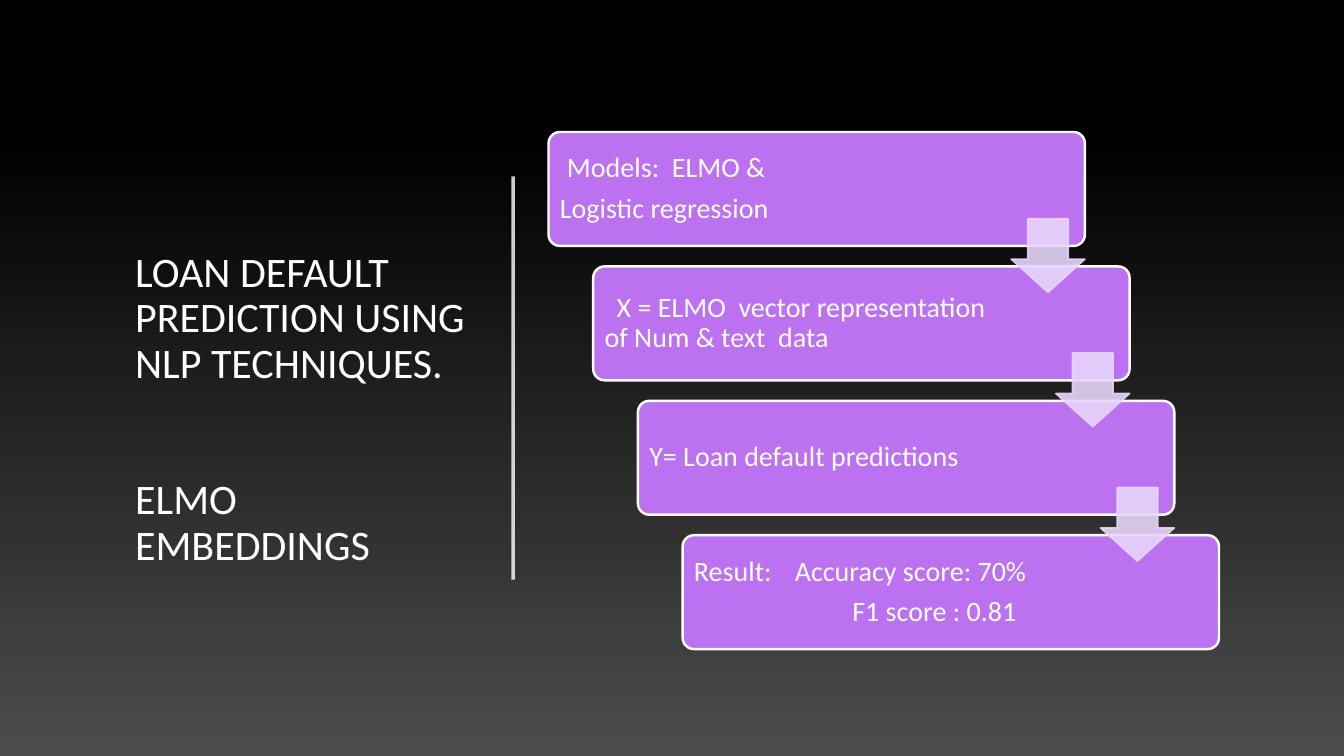
from pptx import Presentation
from pptx.dml.color import RGBColor
from pptx.enum.shapes import MSO_CONNECTOR, MSO_SHAPE
from pptx.enum.text import MSO_ANCHOR, MSO_AUTO_SIZE, PP_ALIGN
from pptx.oxml.ns import qn
from pptx.util import Inches, Pt
from lxml.etree import SubElement

BLACK = RGBColor(0x00, 0x00, 0x00)
GREY = RGBColor(0x4C, 0x4C, 0x4C)
WHITE = RGBColor(0xFF, 0xFF, 0xFF)
PURPLE = RGBColor(0xBC, 0x72, 0xF0)
LILAC = RGBColor(0xE7, 0xD5, 0xF9)

# Each step holds paragraphs: text, left margin, first-line indent, tab stop
STEPS = [
    [("Models:  ELMO &", 0.07, 0, 0), ("Logistic regression", 0, 0, 0)],
    [("X = ELMO  vector representation of Num & text  data", 0, 0.12, 0)],
    [("Y= Loan default predictions", 0, 0, 0)],
    [("Result:\tAccuracy score: 70%", 0, 0, 1.15),
     ("F1 score : 0.81", 1.57, 0, 0)],
]
LEFT, TOP = 5.44, 1.31
WIDE, HIGH = 5.32, 1.13
STEP_X = (6.77 - LEFT) / (len(STEPS) - 1)
STEP_Y = (5.31 - TOP) / (len(STEPS) - 1)
ARROW = 0.73


def write(para, text, size=20, color=WHITE, before=0, after=0,
          margin=0, indent=0, tab=0):
    para.alignment = PP_ALIGN.LEFT
    para.line_spacing = 0.9
    para.space_before, para.space_after = Pt(before), Pt(after)
    run = para.add_run()
    run.text = text
    run.font.name, run.font.size = "Calibri", Pt(size)
    run.font.color.rgb = color
    props = para._p.get_or_add_pPr()
    props.set("marL", str(Inches(margin)))
    props.set("indent", str(Inches(indent)))
    if tab:
        stops = SubElement(props, qn("a:tabLst"))
        SubElement(stops, qn("a:tab"), pos=str(Inches(tab)), algn="l")


def fade(shape, share):
    """Set the opacity, in percent, of every plain colour of a shape."""
    for color in shape._element.spPr.iter(qn("a:srgbClr")):
        SubElement(color, qn("a:alpha"), val=str(share * 1000))


def add_form(slide, kind, x, y, w, h, fill, line, width, adjust):
    shape = slide.shapes.add_shape(kind, Inches(x), Inches(y),
                                   Inches(w), Inches(h))
    shape.shadow.inherit = False
    shape.fill.solid()
    shape.fill.fore_color.rgb = fill
    shape.line.color.rgb = line
    shape.line.width = Pt(width)
    for i, value in enumerate(adjust):
        shape.adjustments[i] = value
    return shape


def add_back(slide):
    slide.background.fill.solid()
    slide.background.fill.fore_color.rgb = BLACK
    shade = slide.shapes.add_shape(MSO_SHAPE.RECTANGLE, 0, Inches(1.31),
                                   Inches(13.33), Inches(6.19))
    shade.shadow.inherit = False
    shade.line.fill.background()
    shade.fill.gradient()
    shade.fill.gradient_angle = 270
    for stop, color in zip(shade.fill.gradient_stops, (BLACK, GREY)):
        stop.color.rgb = color
    # Keep the shade behind the title
    tree = slide.shapes._spTree
    tree.remove(shade._element)
    tree.insert(2, shade._element)


def add_title(slide):
    title = slide.shapes.title
    title.left, title.top = Inches(1.24), Inches(1.31)
    title.width, title.height = Inches(3.49), Inches(5.14)
    frame = title.text_frame
    frame.word_wrap = True
    frame.auto_size = MSO_AUTO_SIZE.NONE
    frame.vertical_anchor = MSO_ANCHOR.MIDDLE
    frame.margin_top = Inches(0.43)
    write(frame.paragraphs[0],
          "LOAN DEFAULT PREDICTION USING NLP TECHNIQUES.", size=30)
    write(frame.add_paragraph(), "ELMO EMBEDDINGS", size=30, before=65)


def add_rule(slide):
    rule = slide.shapes.add_connector(MSO_CONNECTOR.STRAIGHT, Inches(5.09),
                                      Inches(1.75), Inches(5.09), Inches(5.75))
    rule.line.color.rgb = WHITE
    rule.line.width = Pt(2.5)
    fade(rule, 80)
    SubElement(rule._element.spPr, qn("a:effectLst"))


def add_step(slide, x, y, lines):
    box = add_form(slide, MSO_SHAPE.ROUNDED_RECTANGLE, x, y, WIDE, HIGH,
                   PURPLE, WHITE, 1.75, [0.1])
    frame = box.text_frame
    frame.word_wrap = True
    frame.vertical_anchor = MSO_ANCHOR.MIDDLE
    frame.margin_left = frame.margin_top = frame.margin_bottom = Inches(0.08)
    frame.margin_right = Inches(1.26)
    for i, (text, margin, indent, tab) in enumerate(lines):
        para = frame.add_paragraph() if i else frame.paragraphs[0]
        write(para, text, after=7, margin=margin, indent=indent, tab=tab)


def add_arrow(slide, x, y):
    arrow = add_form(slide, MSO_SHAPE.DOWN_ARROW, x, y, ARROW, ARROW,
                     LILAC, LILAC, 1.25, [0.55, 0.45])
    fade(arrow, 90)


def main():
    deck = Presentation()
    deck.slide_width, deck.slide_height = Inches(13.33), Inches(7.5)
    slide = deck.slides.add_slide(deck.slide_layouts[5])
    add_back(slide)
    add_title(slide)
    add_rule(slide)

    # Staircase of steps, then the arrows that join them
    spots = [(LEFT + i * STEP_X, TOP + i * STEP_Y) for i in range(len(STEPS))]
    for (x, y), lines in zip(spots, STEPS):
        add_step(slide, x, y, lines)
    for x, y in spots[:-1]:
        add_arrow(slide, x + WIDE - ARROW, y + 0.86)

    deck.save("out.pptx")


if __name__ == "__main__":
    main()
